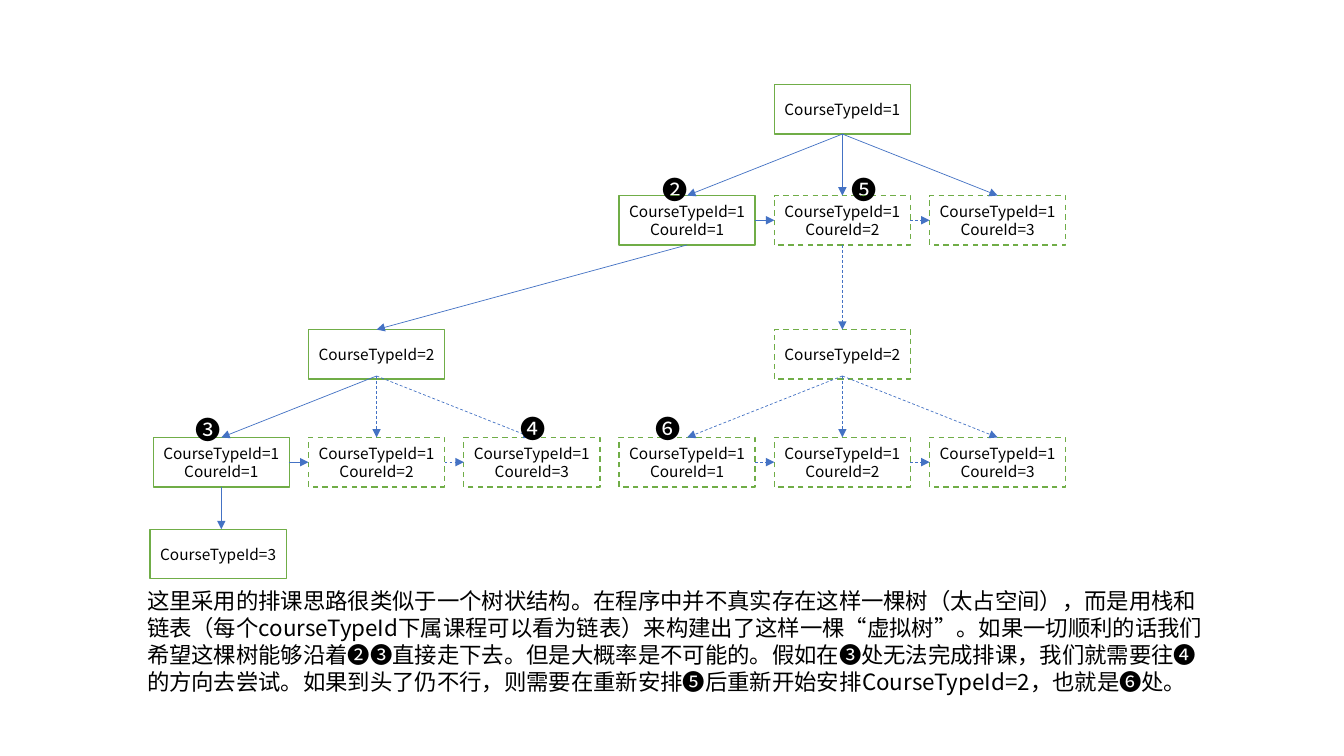
from dataclasses import dataclass

from lxml import etree
from pptx import Presentation
from pptx.dml.color import RGBColor
from pptx.enum.dml import MSO_LINE
from pptx.enum.shapes import MSO_CONNECTOR, MSO_SHAPE
from pptx.enum.text import MSO_ANCHOR, PP_ALIGN
from pptx.oxml.ns import qn
from pptx.util import Inches, Pt

RECTANGLE = MSO_SHAPE.RECTANGLE
STRAIGHT = MSO_CONNECTOR.STRAIGHT
DASH = MSO_LINE.DASH
MIDDLE, TOP = MSO_ANCHOR.MIDDLE, MSO_ANCHOR.TOP
CENTER, LEFT = PP_ALIGN.CENTER, PP_ALIGN.LEFT


@dataclass(frozen=True)
class Theme:
    font: str = "Noto Sans CJK SC"
    ink: RGBColor = RGBColor(0x00, 0x00, 0x00)
    paper: RGBColor = RGBColor(0xFF, 0xFF, 0xFF)
    border: RGBColor = RGBColor(0x70, 0xAD, 0x47)
    arrow: RGBColor = RGBColor(0x44, 0x72, 0xC4)
    node_size: int = 11
    body_size: int = 16
    badge_size: int = 18


@dataclass(frozen=True)
class Grid:
    left: float = 1.52
    pitch: float = 1.54
    width: float = 1.35
    height: float = 0.49
    rows: tuple = (0.84, 1.94, 3.27, 4.34, 5.25)

    def x(self, column):
        return self.left + column * self.pitch

    def center(self, column):
        return self.x(column) + self.width / 2

    def bottom(self, row):
        return self.rows[row] + self.height


class TreePage:
    def __init__(self, page, theme, grid):
        self.shapes = page.shapes
        self.theme = theme
        self.grid = grid

    def set_text(self, box, lines, size, align, anchor):
        frame = box.text_frame
        frame.word_wrap = True
        frame.vertical_anchor = anchor
        frame.text = "\n".join(lines)
        for para in frame.paragraphs:
            para.alignment = align
            para.font.size = Pt(size)
            para.font.name = self.theme.font
            para.font.color.rgb = self.theme.ink
            defaults = para._p.pPr.find(qn("a:defRPr"))
            etree.SubElement(defaults, qn("a:ea"), typeface=self.theme.font)

    def node(self, column, row, lines, dashed=False):
        grid = self.grid
        box = self.shapes.add_shape(
            RECTANGLE, Inches(grid.x(column)), Inches(grid.rows[row]),
            Inches(grid.width), Inches(grid.height))
        box.shadow.inherit = False
        box.fill.solid()
        box.fill.fore_color.rgb = self.theme.paper
        box.line.color.rgb = self.theme.border
        box.line.width = Pt(1)
        if dashed:
            box.line.dash_style = DASH
        self.set_text(box, lines, self.theme.node_size, CENTER, MIDDLE)
        box.text_frame.margin_left = box.text_frame.margin_right = Inches(0.05)

    def arrow(self, start, end, dashed=False):
        connector = self.shapes.add_connector(
            STRAIGHT, *(Inches(value) for value in (*start, *end)))
        connector.line.color.rgb = self.theme.arrow
        connector.line.width = Pt(0.5)
        if dashed:
            connector.line.dash_style = DASH
        properties = connector._element.spPr
        outline = properties.find(qn("a:ln"))
        etree.SubElement(outline, qn("a:tailEnd"), type="triangle")
        etree.SubElement(properties, qn("a:effectLst"))

    def down(self, start, end, dashed=False, lift=0):
        """Arrow from the foot of one (column, row) cell to the top of another."""
        grid = self.grid
        self.arrow((grid.center(start[0]), grid.bottom(start[1]) - lift),
                   (grid.center(end[0]), grid.rows[end[1]]), dashed)

    def siblings(self, first, row, parent, dashes, lift=0):
        """Three linked courses; dashes give (node, branch, link) for each."""
        grid = self.grid
        middle = grid.rows[row] + grid.height / 2
        for number, (node, branch, link) in enumerate(dashes):
            column = first + number
            self.node(column, row, ("CourseTypeId=1", f"CoureId={number + 1}"), node)
            self.down(parent, (column, row), branch, lift)
            if number:
                self.arrow((grid.x(column - 1) + grid.width, middle),
                           (grid.x(column), middle), link)

    def text(self, left, top, width, height, words, size):
        box = self.shapes.add_textbox(
            Inches(left), Inches(top), Inches(width), Inches(height))
        self.set_text(box, [words], size, LEFT, TOP)


def main():
    deck = Presentation()
    deck.slide_width, deck.slide_height = Inches(13.33), Inches(7.5)
    theme = Theme()
    tree = TreePage(deck.slides.add_slide(deck.slide_layouts[6]), theme, Grid())

    # Course type nodes
    tree.node(4, 0, ["CourseTypeId=1"])
    tree.node(1, 2, ["CourseTypeId=2"])
    tree.node(4, 2, ["CourseTypeId=2"], dashed=True)
    tree.node(-0.02, 4, ["CourseTypeId=3"])

    # Linked lists of courses under each type
    tree.siblings(3, 1, (4, 0), (
        (False, False, False), (True, False, False), (True, False, True)))
    tree.siblings(0, 3, (1, 2), (
        (False, False, False), (True, True, False), (True, True, True)), lift=0.03)
    tree.siblings(3, 3, (4, 2), ((True, True, True),) * 3, lift=0.03)

    # Steps between levels
    tree.down((3, 1), (1, 2))
    tree.down((4, 1), (4, 2), dashed=True)
    tree.down((0, 3), (0, 4))

    # Explanation
    tree.text(1.36, 5.78, 10.78, 1.18, (
        "这里采用的排课思路很类似于一个树状结构。在程序中并不真实存在这样一棵树（太占空间），"
        "而是用栈和链表（每个courseTypeId下属课程可以看为链表）来构建出了这样一棵“虚拟树”。"
        "如果一切顺利的话我们希望这棵树能够沿着❷❸直接走下去。但是大概率是不可能的。"
        "假如在❸处无法完成排课，我们就需要往❹的方向去尝试。如果到头了仍不行，"
        "则需要在重新安排❺后重新开始安排CourseTypeId=2，也就是❻处。"), theme.body_size)

    # Step numbers
    for badge, left, top in (("❷", 6.47, 1.68), ("❸", 1.84, 4.06), ("❹", 5.06, 4.05),
                             ("❺", 8.35, 1.68), ("❻", 6.4, 4.05)):
        tree.text(left, top, 0.4, 0.4, badge, theme.badge_size)

    deck.save("out.pptx")


if __name__ == "__main__":
    main()
